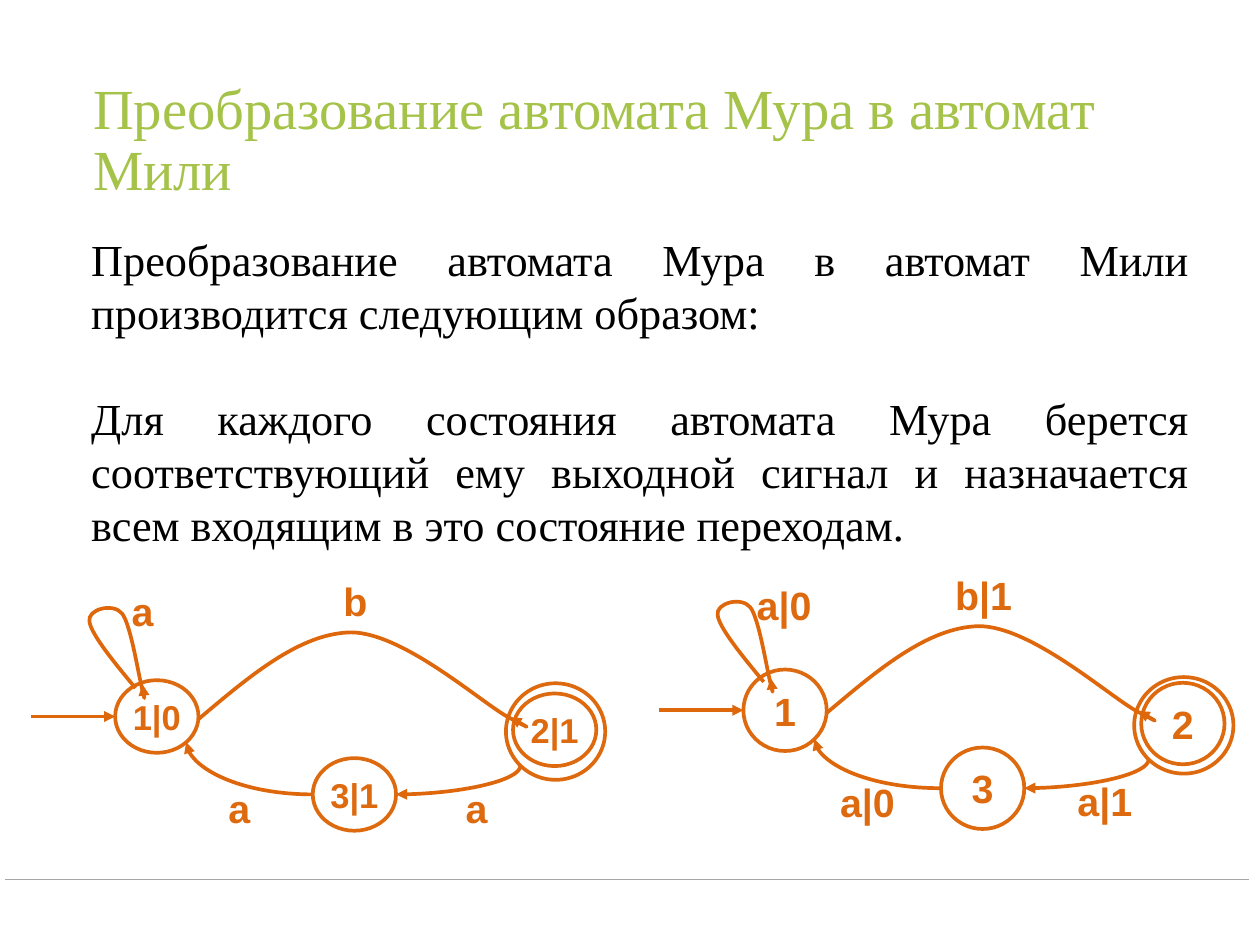
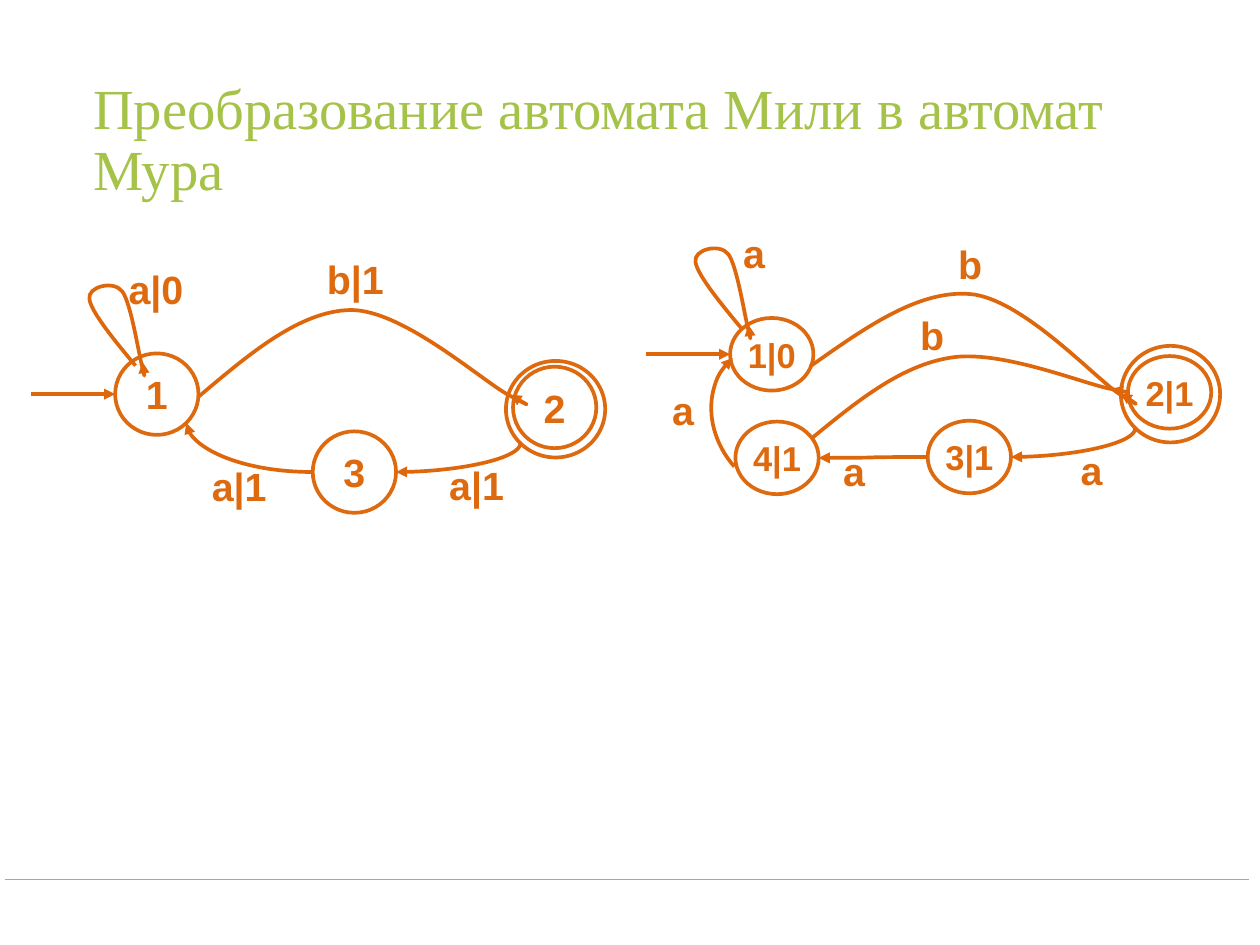
from dataclasses import dataclass
from math import cos, radians, sin

from lxml.etree import SubElement
from pptx import Presentation
from pptx.dml.color import RGBColor
from pptx.enum.shapes import MSO_CONNECTOR, MSO_SHAPE
from pptx.enum.text import MSO_ANCHOR, PP_ALIGN
from pptx.oxml.ns import qn
from pptx.util import Pt

PX = 9144  # 100 px to the inch


@dataclass(frozen=True)
class Theme:
    title: str = "A5C249"
    text: str = "000000"
    rule: str = "A6A6A6"
    paper: str = "FFFFFF"
    state: str = "DE6A10"
    edge: str = "DE670B"
    serif: str = "Times New Roman"
    sans: str = "Arial"
    title_size: int = 46
    body_size: int = 36
    label_size: int = 32
    moore_size: int = 28
    stroke: int = 3


T = Theme()

# Curves are relative to the start of an automaton: a start point, then
# three points for each Bezier segment.
LOOP = [(118, -32), (93, -62), (68, -93), (66, -107), (63, -121), (93, -129), (103, -116),
        (113, -103), (122, -43), (126, -29), (129, -16), (127, -26), (126, -36)]
ARCH = [(189, 3), (246, -45), (303, -94), (361, -95), (420, -95), (509, -15), (539, 1),
        (569, 17), (555, 9), (541, 1)]
TILTED_ARCH = [(185, -14), (246, -57), (307, -101), (366, -96), (424, -91), (505, -3),
               (533, 16), (562, 34), (549, 25), (536, 16)]
LOW_ARCH = [(187, 67), (237, 26), (287, -15), (343, -24), (399, -34), (493, 5), (524, 11),
            (554, 17), (540, 14), (526, 11)]

# Connection sites of an ellipse, counted anticlockwise from the top
LEFT, BOTTOM_LEFT, BOTTOM_RIGHT, RIGHT = 2, 3, 5, 6


def emu(*lengths):
    return [round(n * PX) for n in lengths]


def rgb(color):
    return RGBColor.from_string(color)


def set_text(shape, *paragraphs, size, color, font=T.sans, bold=False, align=PP_ALIGN.CENTER,
             anchor=MSO_ANCHOR.MIDDLE, inset=6, spacing=None, gap=0):
    tf = shape.text_frame
    tf.word_wrap = True
    tf.vertical_anchor = anchor
    tf.margin_left = tf.margin_right = tf.margin_top = tf.margin_bottom = inset * PX
    for i, text in enumerate(paragraphs):
        p = tf.add_paragraph() if i else tf.paragraphs[0]
        p.alignment = align
        if spacing:
            p.line_spacing = spacing
        if i:
            p.space_before = Pt(gap)
        r = p.add_run()
        r.text = text
        r.font.name, r.font.size, r.font.bold = font, Pt(size), bold
        r.font.color.rgb = rgb(color)


def add_text(s, box, *paragraphs, **fmt):
    set_text(s.shapes.add_textbox(*emu(*box)), *paragraphs, **fmt)


def set_line(shape, color=T.edge, width=T.stroke, arrow=None):
    """Style the line; arrow is None, "headEnd" or "tailEnd"."""
    shape.line.color.rgb = rgb(color)
    shape.line.width = Pt(width)
    if arrow:
        SubElement(shape._element.spPr.find(qn("a:ln")), qn(f"a:{arrow}"), type="triangle")


def add_link(s, kind, start, end, **line):
    cn = s.shapes.add_connector(kind, *emu(*start, *end))
    set_line(cn, **line)
    SubElement(cn._element.spPr, qn("a:effectLst"))
    return cn


def site(ellipse, i):
    """Position in px of connection site i."""
    a = radians(90 + 45 * i)
    rx, ry = ellipse.width / 2, ellipse.height / 2
    return ((ellipse.left + rx + rx * cos(a)) / PX, (ellipse.top + ry - ry * sin(a)) / PX)


def glue(cn, end, ellipse, i):
    """Join an end to an ellipse, whose eight sites begin_connect does not place."""
    SubElement(cn._element.nvCxnSpPr.cNvCxnSpPr, qn(f"a:{end}"),
               id=str(ellipse.shape_id), idx=str(i))


def join(s, a, i, b, j, quarter=True, arrow="tailEnd"):
    cn = add_link(s, MSO_CONNECTOR.CURVE, site(a, i), site(b, j), arrow=arrow)
    if quarter:
        cn._element.spPr.find(qn("a:prstGeom")).set("prst", "curvedConnector2")
    glue(cn, "stCxn", a, i)
    glue(cn, "endCxn", b, j)


def add_curve(s, x, y, points):
    (x0, y0), *rest = [(x + px, y + py) for px, py in points]
    builder = s.shapes.build_freeform(x0, y0, scale=PX)
    builder.add_line_segments(rest, close=False)
    curve = builder.convert_to_shape()
    steps = list(curve._element.iter(qn("a:lnTo")))
    for i in range(0, len(steps), 3):
        bezier = SubElement(steps[i].getparent(), qn("a:cubicBezTo"))
        for step in steps[i:i + 3]:
            bezier.append(step[0])
            step.getparent().remove(step)
    curve.fill.background()
    curve.shadow.inherit = False
    set_line(curve, arrow="tailEnd")


def add_ellipse(s, cx, cy, w, h):
    ellipse = s.shapes.add_shape(MSO_SHAPE.OVAL, *emu(cx - w / 2, cy - h / 2, w, h))
    ellipse.shadow.inherit = False
    ellipse.fill.solid()
    ellipse.fill.fore_color.rgb = rgb(T.paper)
    set_line(ellipse, T.state)
    return ellipse


def add_state(s, cx, cy, name):
    """A Moore state, which carries its output, is flatter and has smaller text."""
    moore = "|" in name
    state = add_ellipse(s, cx, cy, 94, 82 if moore else 92)
    set_text(state, name, size=T.moore_size if moore else T.label_size,
             color=T.state, bold=True)
    return state


def add_label(s, cx, cy, text):
    add_text(s, (cx - 52, cy - 32, 104, 65), text, size=T.label_size, color=T.state, bold=True)


def add_automaton(s, x, y, states, edges, start_y=0, loop_at=(0, 0), loop_label=(141, -120),
                  arch=ARCH):
    """Edges are labelled in the order loop, 1-2, 2-3, out of 3; a fourth state stands before 1."""
    ring = add_ellipse(s, x + 592, y + 17, 112, 109)
    places = [(142, start_y), (591, 15), (365, 88), (148, 89)]
    first, _, third, *fourth = [add_state(s, x + cx, y + cy, name)
                                for (cx, cy), name in zip(places, states)]
    add_curve(s, x + loop_at[0], y + loop_at[1], LOOP)
    add_curve(s, x, y, arch)
    entry = add_link(s, MSO_CONNECTOR.STRAIGHT, (x, y + start_y), site(first, LEFT),
                     arrow="tailEnd")
    glue(entry, "endCxn", first, LEFT)
    join(s, third, RIGHT, ring, BOTTOM_LEFT, arrow="headEnd")
    if fourth:
        join(s, third, LEFT, fourth[0], RIGHT, quarter=False)
    else:
        join(s, third, LEFT, first, BOTTOM_RIGHT)
    for (cx, cy), text in zip([loop_label, (366, -131), (503, 102), (235, 103)], edges):
        add_label(s, x + cx, y + cy, text)


def add_fourth_state_edges(s, x, y):
    add_curve(s, x, y, LOW_ARCH)
    add_label(s, x + 323, y - 51, "b")
    add_label(s, x + 42, y + 34, "a")
    arc = s.shapes.add_shape(MSO_SHAPE.ARC, *emu(x + 66, y - 33, 187, 159))
    arc.rotation = 228.7
    arc.fill.background()
    arc.shadow.inherit = False
    set_line(arc, arrow="tailEnd")


def add_base(prs, title):
    s = prs.slides.add_slide(prs.slide_layouts[6])
    add_text(s, (98, 57, 1227, 206), title, size=T.title_size, color=T.title, font=T.serif,
             align=PP_ALIGN.LEFT, inset=7, spacing=0.9)
    add_link(s, MSO_CONNECTOR.STRAIGHT, (6, 993), (1410, 993), color=T.rule, width=1)
    return s


def moore_to_mealy(prs):
    s = add_base(prs, "Преобразование автомата Мура в автомат Мили")
    add_text(s, (96, 255, 1253, 783),
             "Преобразование автомата Мура в автомат Мили производится следующим образом:",
             "Для каждого состояния автомата Мура берется соответствующий ему выходной сигнал "
             "и назначается всем входящим в это состояние переходам.",
             size=T.body_size, color=T.text, font=T.serif, align=PP_ALIGN.JUSTIFY,
             anchor=MSO_ANCHOR.TOP, inset=7, gap=43)
    add_automaton(s, 35, 809, ["1|0", "2|1", "3|1"], ["a", "b", "a", "a"],
                  loop_label=(126, -120))
    add_automaton(s, 744, 802, ["1", "2", "3"], ["a|0", "b|1", "a|1", "a|0"])


def mealy_to_moore(prs):
    s = add_base(prs, "Преобразование автомата Мили в автомат Мура")
    add_automaton(s, 35, 445, ["1", "2", "3"], ["a|0", "b|1", "a|1", "a|1"])
    x, y = 729, 428
    add_automaton(s, x, y, ["1|0", "2|1", "3|1", "4|1"], ["a", "b", "a", "a"], start_y=-28,
                  loop_at=(-10, -25), loop_label=(122, -143), arch=TILTED_ARCH)
    add_fourth_state_edges(s, x, y)


def main():
    prs = Presentation()
    prs.slide_width, prs.slide_height = emu(1422, 1067)
    moore_to_mealy(prs)
    mealy_to_moore(prs)
    prs.save("out.pptx")


if __name__ == "__main__":
    main()
